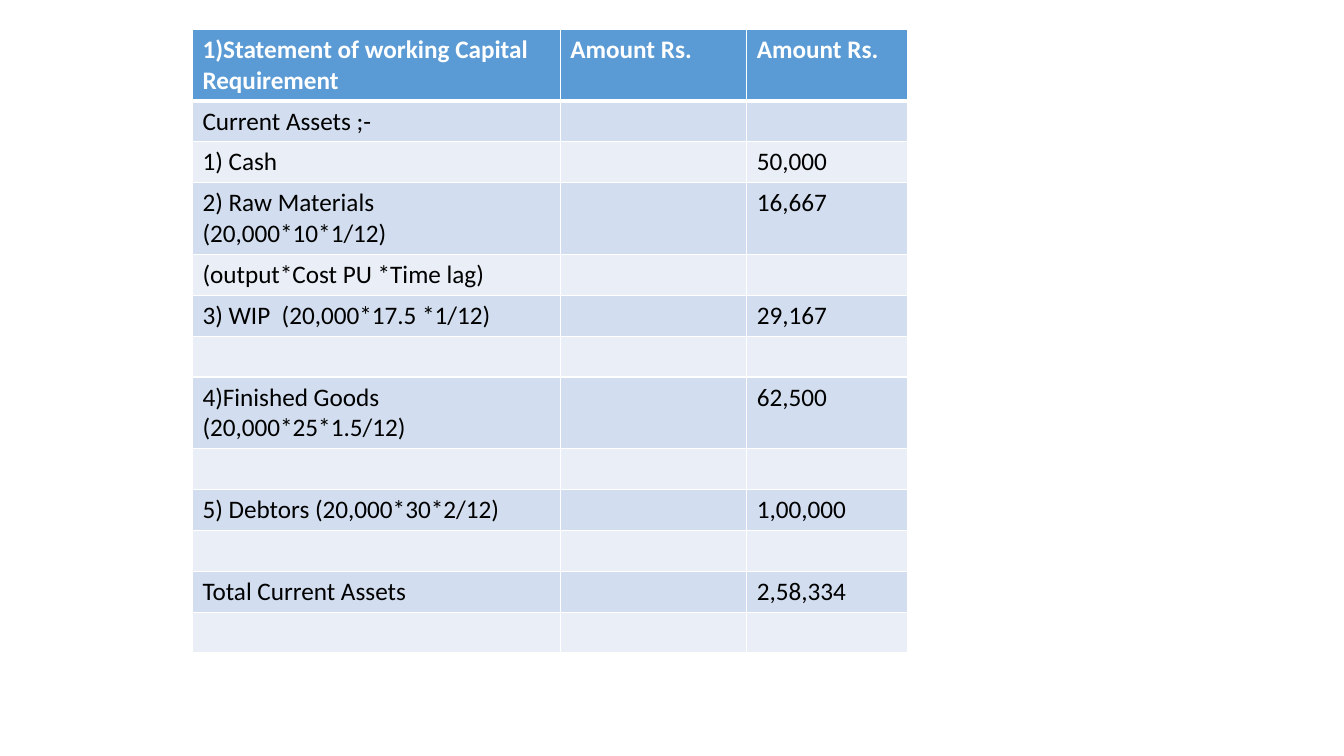
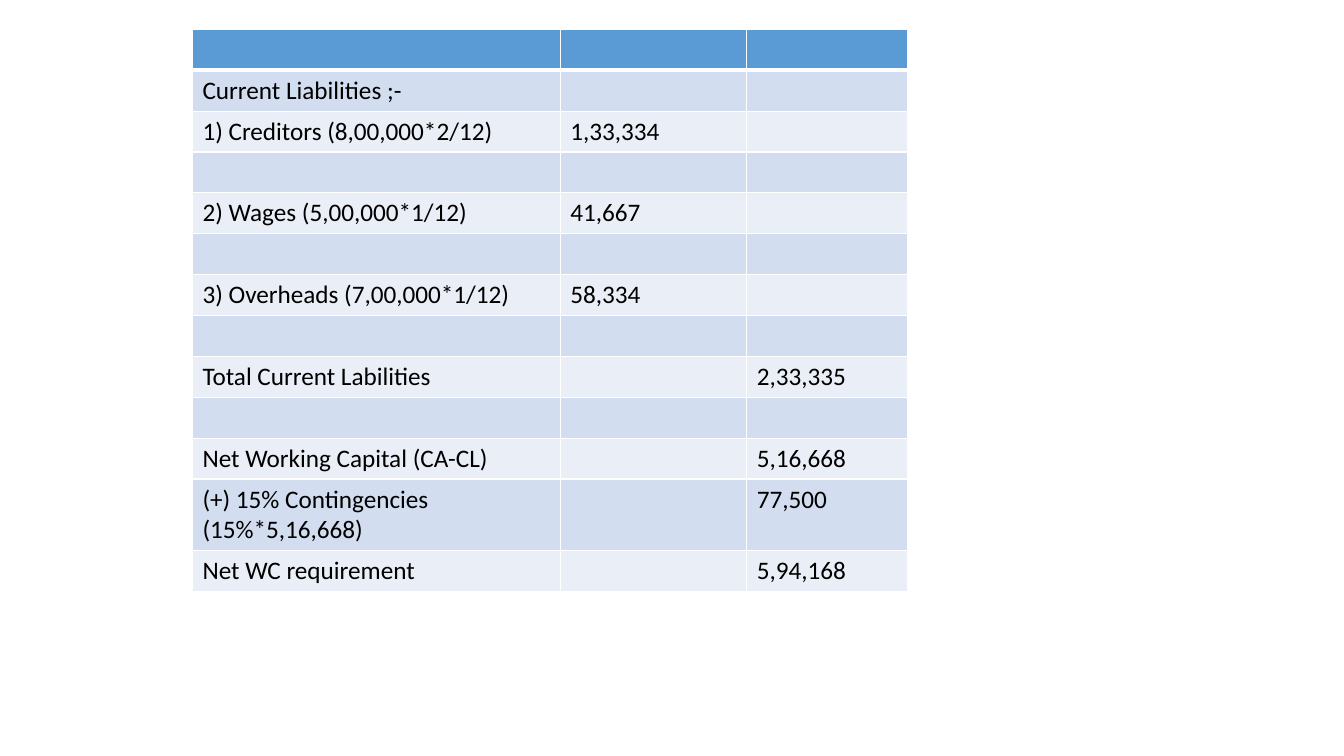
"""Working capital statement: two table slides in one shared style."""
from dataclasses import dataclass

from pptx import Presentation
from pptx.dml.color import RGBColor
from pptx.oxml import parse_xml
from pptx.oxml.ns import nsdecls
from pptx.presentation import Presentation as Deck
from pptx.table import _Cell as Cell
from pptx.util import Cm, Pt

WHITE = RGBColor(0xFF, 0xFF, 0xFF)
BLACK = RGBColor(0x00, 0x00, 0x00)
HEADER_BLUE = RGBColor(0x5B, 0x9B, 0xD5)
BAND_DARK = RGBColor(0xD2, 0xDE, 0xEF)
BAND_LIGHT = RGBColor(0xEA, 0xEF, 0xF7)

FONT_NAME = "Calibri"
FONT_SIZE = Pt(18)
TABLE_LEFT, TABLE_TOP = Cm(4.85), Cm(0.74)
COLUMN_WIDTHS = (Cm(9.27), Cm(4.7), Cm(4.06))
ROW_HEIGHT = Cm(1.03)
THIN_LINE, HEADER_LINE = Pt(1), Pt(3)


@dataclass(frozen=True)
class Entry:
    """One statement row: its label, inner amount and outer amount."""

    label: str = ""
    inner: str = ""
    outer: str = ""

    def texts(self) -> tuple[str, str, str]:
        """Return the cell texts from left to right."""
        return self.label, self.inner, self.outer


GAP = Entry()

CURRENT_ASSETS = (
    Entry("1)Statement of working Capital Requirement ", "Amount Rs.", "Amount Rs."),
    Entry("Current Assets ;-"),
    Entry("1) Cash ", outer="50,000"),
    Entry("2) Raw Materials (20,000*10*1/12)", outer="16,667"),
    Entry("(output*Cost PU *Time lag)"),
    Entry("3) WIP  (20,000*17.5 *1/12)", outer="29,167"),
    GAP,
    Entry("4)Finished Goods (20,000*25*1.5/12)", outer="62,500"),
    GAP,
    Entry("5) Debtors (20,000*30*2/12)", outer="1,00,000"),
    GAP,
    Entry("Total Current Assets ", outer="2,58,334"),
    GAP,
)

CURRENT_LIABILITIES = (
    GAP,
    Entry("Current Liabilities ;-"),
    Entry("1) Creditors (8,00,000*2/12)", inner="1,33,334"),
    GAP,
    Entry("2) Wages (5,00,000*1/12)", inner="41,667"),
    GAP,
    Entry("3) Overheads (7,00,000*1/12)", inner="58,334"),
    GAP,
    Entry("Total Current Labilities ", outer="2,33,335"),
    GAP,
    Entry("Net Working Capital (CA-CL)", outer="5,16,668"),
    Entry("(+) 15% Contingencies (15%*5,16,668)", outer="77,500"),
    Entry("Net WC requirement ", outer="5,94,168"),
)


def add_borders(cell: Cell, row: int) -> None:
    """Draw white cell borders, with a heavy rule below the header row."""
    properties = cell._tc.get_or_add_tcPr()
    heavy_side = {0: "B", 1: "T"}.get(row)
    for side in "LRTB":
        width = HEADER_LINE if side == heavy_side else THIN_LINE
        properties.append(parse_xml(
            f'<a:ln{side} {nsdecls("a")} w="{width}"><a:solidFill>'
            f'<a:srgbClr val="{WHITE}"/></a:solidFill></a:ln{side}>'
        ))


def format_cell(cell: Cell, text: str, row: int) -> None:
    """Fill one cell with its text and the style of its row."""
    is_header = row == 0
    add_borders(cell, row)
    cell.fill.solid()
    band = BAND_DARK if row % 2 else BAND_LIGHT
    cell.fill.fore_color.rgb = HEADER_BLUE if is_header else band
    cell.text = text
    font = cell.text_frame.paragraphs[0].font
    font.name, font.size, font.bold = FONT_NAME, FONT_SIZE, is_header
    font.color.rgb = WHITE if is_header else BLACK


def add_statement(deck: Deck, entries: tuple[Entry, ...]) -> None:
    """Add a slide that holds one statement table."""
    page = deck.slides.add_slide(deck.slide_layouts.get_by_name("Blank"))
    table = page.shapes.add_table(
        len(entries), len(COLUMN_WIDTHS), TABLE_LEFT, TABLE_TOP,
        sum(COLUMN_WIDTHS), ROW_HEIGHT * len(entries),
    ).table
    for column, width in zip(table.columns, COLUMN_WIDTHS):
        column.width = width
    for row, entry in enumerate(entries):
        table.rows[row].height = ROW_HEIGHT
        for column, text in enumerate(entry.texts()):
            format_cell(table.cell(row, column), text, row)


def main() -> None:
    """Build and save the deck."""
    deck = Presentation()
    deck.slide_width, deck.slide_height = Cm(33.87), Cm(19.05)
    for entries in (CURRENT_ASSETS, CURRENT_LIABILITIES):
        add_statement(deck, entries)
    deck.save("out.pptx")


main()
